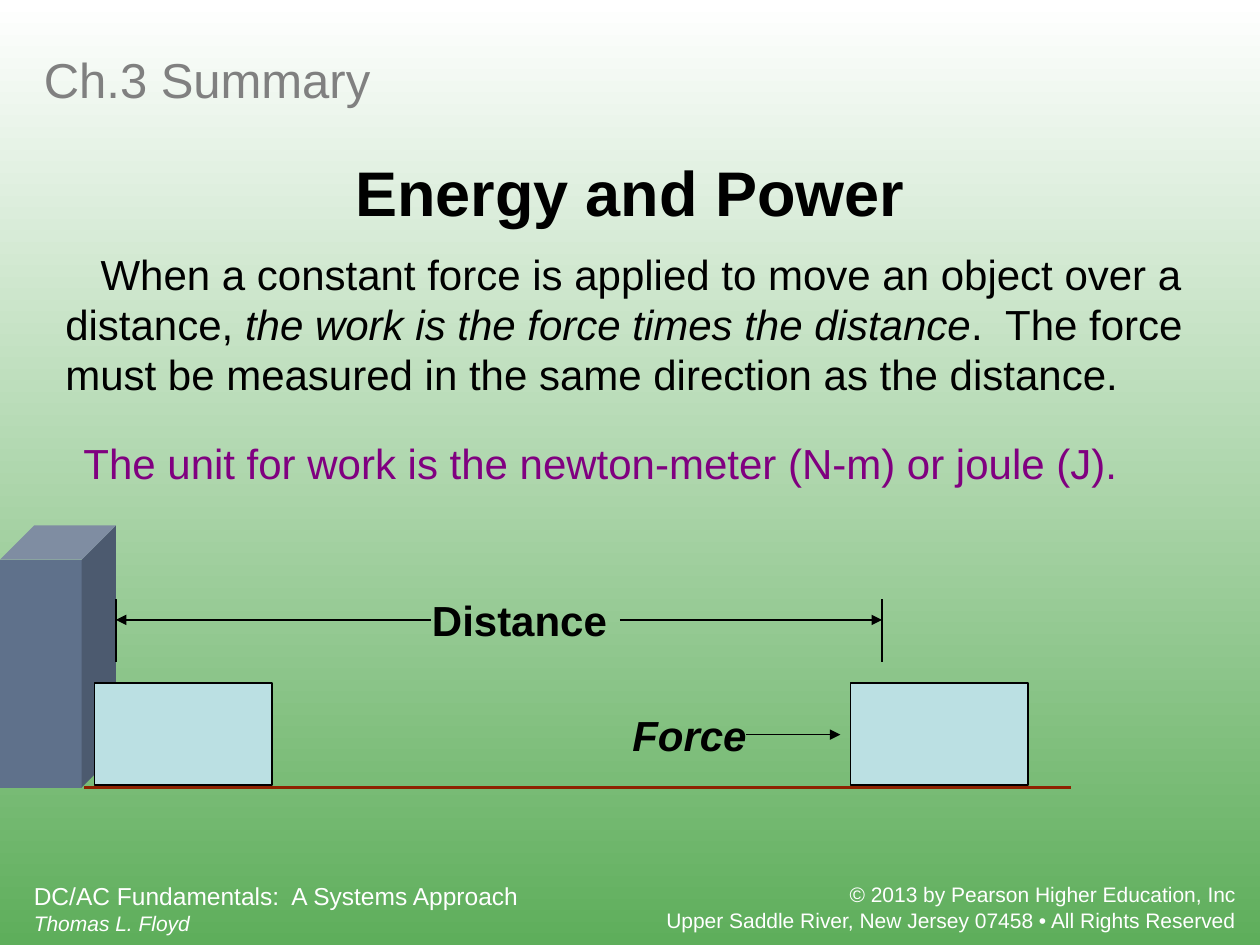
import pptx
import pptx.dml.color
import pptx.enum.shapes
import pptx.enum.text
import pptx.oxml.xmlchemy
import pptx.util
from pptx.util import Inches

RGBColor = pptx.dml.color.RGBColor
WHITE = RGBColor(0xFF, 0xFF, 0xFF)
BLACK = RGBColor(0, 0, 0)
GREEN = RGBColor(0x5E, 0xAE, 0x5B)
GREY = RGBColor(0x80, 0x80, 0x80)
PURPLE = RGBColor(0x80, 0, 0x80)
BROWN = RGBColor(0x8E, 0x22, 0)
PALE_BLUE = RGBColor(0xBB, 0xE0, 0xE3)
SLATE = RGBColor(0x5F, 0x71, 0x8B)

ALIGN = pptx.enum.text.PP_ALIGN
SHAPE = pptx.enum.shapes.MSO_SHAPE
INDENT = Inches(0.28)


def paint_background(slide):
    """Fill the slide with a gradient from white down to green."""
    fill = slide.background.fill
    fill.gradient()
    fill.gradient_angle = 270
    for stop, color in zip(fill.gradient_stops, (WHITE, GREEN)):
        stop.color.rgb = color


def add_text(slide, box, text, size, color, bold=False, italic=False,
             align=ALIGN.LEFT, indent=None):
    """Add a wrapped text box and return its text frame."""
    frame = slide.shapes.add_textbox(*map(Inches, box)).text_frame
    frame.word_wrap = True
    frame.text = text
    for paragraph in frame.paragraphs:
        paragraph.alignment = align
        if indent:
            paragraph._p.get_or_add_pPr().set("indent", str(indent))
        for run in paragraph.runs:
            format_run(run, size, color, bold, italic)
    return frame


def format_run(run, size, color, bold=False, italic=False):
    """Set the typeface, size, colour and style of a run."""
    run.font.name = "Arial"
    run.font.size = pptx.util.Pt(size)
    run.font.color.rgb = color
    run.font.bold = bold
    run.font.italic = italic


def add_solid(slide, kind, box, color, outline=None):
    """Add a filled shape, outlined only when a colour is given."""
    solid = slide.shapes.add_shape(kind, *map(Inches, box))
    solid.shadow.inherit = False
    solid.fill.solid()
    solid.fill.fore_color.rgb = color
    if outline is None:
        solid.line.fill.background()
    else:
        solid.line.color.rgb = outline
        solid.line.width = pptx.util.Pt(0.75)
    return solid


def add_line(slide, start, end, color=BLACK, width=0.75, arrow=False):
    """Add a straight line, with an arrowhead at its end if wanted."""
    line = slide.shapes.add_connector(
        pptx.enum.shapes.MSO_CONNECTOR.STRAIGHT, *map(Inches, start + end))
    line.line.color.rgb = color
    line.line.width = pptx.util.Pt(width)
    if arrow:
        head = pptx.oxml.xmlchemy.OxmlElement("a:tailEnd")
        head.set("type", "triangle")
        line.line._get_or_add_ln().append(head)
    line._element.spPr.append(pptx.oxml.xmlchemy.OxmlElement("a:effectLst"))


def add_footer(slide):
    """Add the book title with its author and the copyright line."""
    book = add_text(slide, (0.17, 6.94, 4.83, 0.54),
                    "DC/AC Fundamentals:  A Systems Approach\nThomas L. Floyd",
                    14, WHITE)
    format_run(book.paragraphs[1].runs[0], 12, WHITE, italic=True)
    add_text(slide, (5.05, 6.95, 4.86, 0.5),
             "© 2013 by Pearson Higher Education, Inc\v"
             "Upper Saddle River, New Jersey 07458 • All Rights Reserved",
             12, WHITE, align=ALIGN.RIGHT)


def add_explanation(slide):
    """Add the headings, the definition of work and its unit."""
    add_text(slide, (0.25, 0.25, 9.75, 0.75), "Ch.3 Summary", 28,
             GREY).vertical_anchor = pptx.enum.text.MSO_ANCHOR.MIDDLE
    add_text(slide, (0, 1.17, 10, 0.7), "Energy and Power", 36, BLACK,
             bold=True, align=ALIGN.CENTER)
    definition = add_text(
        slide, (0.42, 1.92, 9.17, 1.3),
        "When a constant force is applied to move an object over a distance, ",
        24, BLACK, indent=INDENT).paragraphs[0]
    for text, italic in (
            ("the work is the force times the distance", True),
            (".  The force must be measured in the same direction"
             " as the distance.", False)):
        run = definition.add_run()
        run.text = text
        format_run(run, 24, BLACK, italic=italic)
    add_text(slide, (0, 3.42, 9.25, 0.5),
             "The unit for work is the newton-meter (N-m) or joule (J).",
             24, PURPLE, align=ALIGN.CENTER, indent=INDENT)


def add_diagram(slide):
    """Draw the block that a force moves along the ground from the wall."""
    wall_x, far_x, distance_y = 0.92, 7, 4.92
    add_line(slide, (0.67, 6.25), (8.5, 6.25), BROWN, 2.25)
    wall = add_solid(slide, SHAPE.CUBE, (0, 4.17, wall_x, 2.08), SLATE)
    wall.adjustments[0] = 0.295
    for block_x in (0.75, 6.75):
        add_solid(slide, SHAPE.RECTANGLE, (block_x, 5.42, 1.41, 0.81),
                  PALE_BLUE, BLACK)
    for limit_x, label_x in ((wall_x, 3.42), (far_x, 4.92)):
        add_line(slide, (limit_x, 5.25), (limit_x, 4.75))
        add_line(slide, (label_x, distance_y), (limit_x, distance_y),
                 arrow=True)
    add_text(slide, (3.33, 4.67, 1.83, 0.5), "Distance", 24, BLACK, bold=True)
    add_line(slide, (5.92, 5.83), (6.67, 5.83), arrow=True)
    add_text(slide, (4.92, 5.58, 1.33, 0.5), "Force", 24, BLACK,
             bold=True, italic=True)


def main():
    """Build the slide and save it."""
    deck = pptx.Presentation()
    deck.slide_width = Inches(10)
    deck.slide_height = Inches(7.5)
    slide = deck.slides.add_slide(deck.slide_layouts[6])
    paint_background(slide)
    add_footer(slide)
    add_explanation(slide)
    add_diagram(slide)
    deck.save("out.pptx")


if __name__ == "__main__":
    main()
